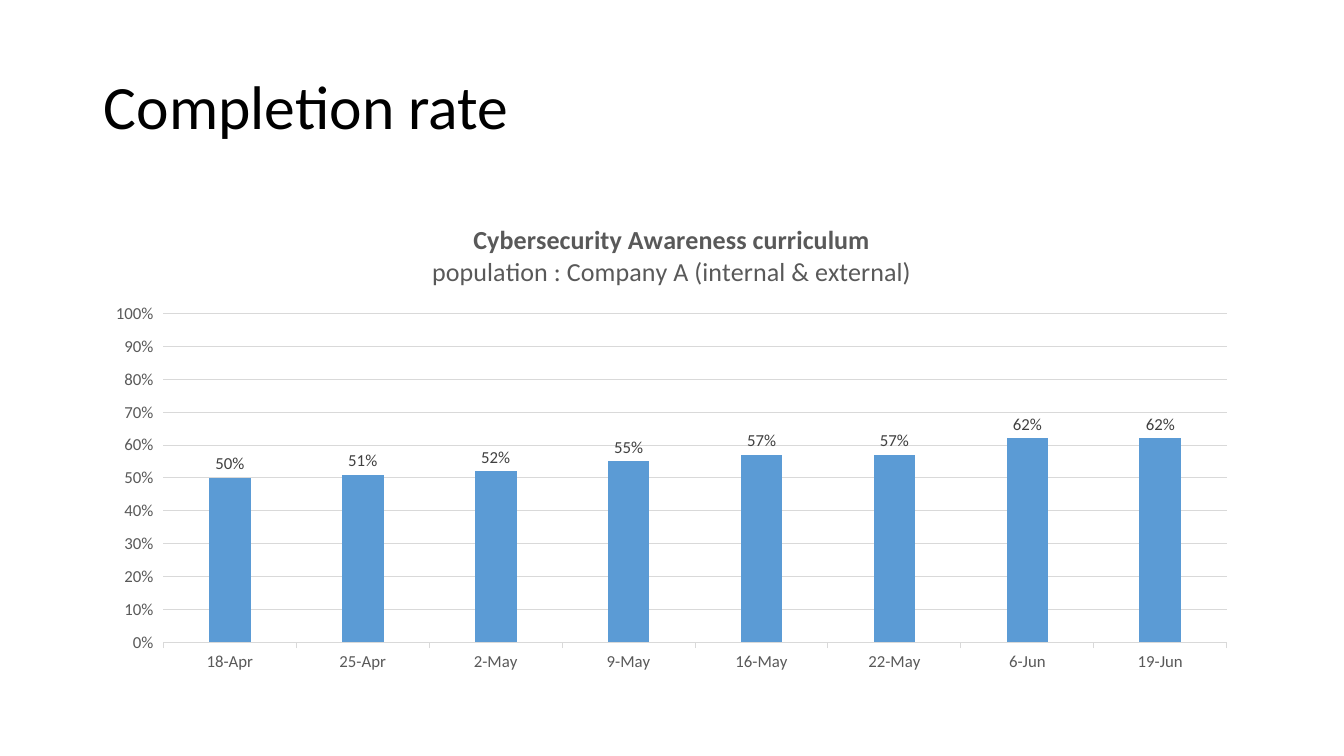
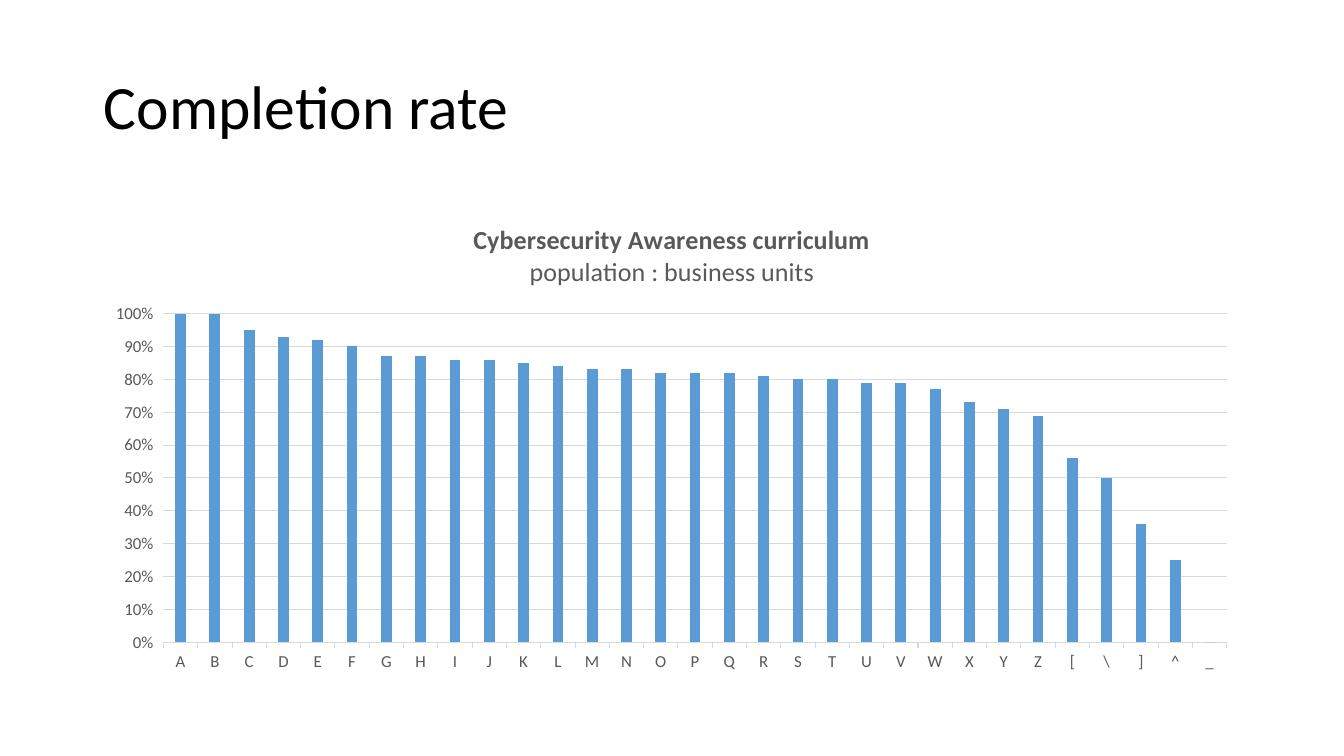
from pptx import Presentation
from pptx.chart.data import CategoryChartData as ChartData
from pptx.dml.color import RGBColor
from pptx.enum.chart import (XL_CHART_TYPE as ChartType, XL_LABEL_POSITION as LabelPos,
                             XL_TICK_MARK as Tick)
from pptx.enum.text import MSO_ANCHOR as Anchor
from pptx.oxml import parse_xml
from pptx.oxml.ns import nsdecls
from pptx.util import Inches, Pt

BLACK = RGBColor(0x00, 0x00, 0x00)
GREY = RGBColor(0x59, 0x59, 0x59)
DARK_GREY = RGBColor(0x40, 0x40, 0x40)
GRID = RGBColor(0xD9, 0xD9, 0xD9)
BLUE = RGBColor(0x5B, 0x9B, 0xD5)


class Deck:
    """Shared style and the slide being built; boxes are in shares of the slide."""
    FONT = "Calibri"
    TITLE_BOX = (0.07, 0.05, 0.86, 0.19)
    CHART_BOX = (0.07, 0.27, 0.86, 0.63)
    PLOT = {"x": 0.06, "y": 0.23, "w": 0.92, "h": 0.69}  # shares of the chart

    def __init__(self):
        self.prs = Presentation()
        self.prs.slide_width, self.prs.slide_height = Inches(13.33), Inches(7.5)

    def new_slide(self):
        self.s = self.prs.slides.add_slide(self.prs.slide_layouts[6])

    def box(self, x, y, w, h):
        sw, sh = self.prs.slide_width, self.prs.slide_height
        return int(x * sw), int(y * sh), int(w * sw), int(h * sh)

    def style(self, font, size, color, bold=False):
        font.name, font.size, font.bold = self.FONT, Pt(size), bold
        font.color.rgb = color

    def title(self, text):
        tf = self.s.shapes.add_textbox(*self.box(*self.TITLE_BOX)).text_frame
        tf.word_wrap, tf.vertical_anchor = True, Anchor.MIDDLE
        p = tf.paragraphs[0]
        p.text, p.line_spacing = text, 0.9
        self.style(p.font, 44, BLACK)

    def column_chart(self, heading, subheading, cats, vals, labels=False):
        data = ChartData(number_format="0%")
        data.categories = cats
        data.add_series("Series 1", vals)
        chart = self.s.shapes.add_chart(
            ChartType.COLUMN_CLUSTERED, *self.box(*self.CHART_BOX), data).chart
        chart.has_legend = False
        self.style(chart.font, 10, BLACK)
        self.chart_title(chart, heading, subheading)
        self.axes(chart)
        self.place_plot(chart)

        # Columns
        plot = chart.plots[0]
        plot.gap_width, plot.overlap, plot.vary_by_categories = 219, -27, False
        fill = plot.series[0].format.fill
        fill.solid()
        fill.fore_color.rgb = BLUE
        if labels:
            dl = plot.series[0].data_labels
            dl.show_value, dl.position = True, LabelPos.OUTSIDE_END
            dl.number_format, dl.number_format_is_linked = "0%", False
            self.style(dl.font, 12, DARK_GREY)

    def chart_title(self, chart, heading, subheading):
        tf = chart.chart_title.text_frame
        for p, text, bold in ((tf.paragraphs[0], heading, True),
                              (tf.add_paragraph(), subheading, False)):
            r = p.add_run()
            r.text = text
            for font in (p.font, r.font):
                self.style(font, 18.6, GREY, bold)

    def axes(self, chart):
        cat, val = chart.category_axis, chart.value_axis
        for axis in (cat, val):
            self.style(axis.tick_labels.font, 12, GREY)
            axis.major_tick_mark = Tick.OUTSIDE
        val.minimum_scale, val.maximum_scale, val.major_unit = 0, 1, 0.1
        val.tick_labels.number_format = "0%"
        val.tick_labels.number_format_is_linked = False
        val.format.line.fill.background()
        for line in (cat.format.line, val.major_gridlines.format.line):
            line.color.rgb, line.width = GRID, Pt(0.75)

    def place_plot(self, chart):
        area = chart.plots[0]._element.getparent()
        for old in area.findall("{*}layout"):
            area.remove(old)
        modes = '<c:layoutTarget val="inner"/><c:xMode val="edge"/><c:yMode val="edge"/>'
        sizes = "".join(f'<c:{k} val="{v}"/>' for k, v in self.PLOT.items())
        area.insert(0, parse_xml(
            f'<c:layout {nsdecls("c")}><c:manualLayout>{modes}{sizes}'
            '</c:manualLayout></c:layout>'))


TITLE = "Completion rate"
HEADING = "Cybersecurity Awareness curriculum"
deck = Deck()

# Completion over time
deck.new_slide()
deck.title(TITLE)
deck.column_chart(
    HEADING, "population : Company A (internal & external)",
    ["18-Apr", "25-Apr", "2-May", "9-May", "16-May", "22-May", "6-Jun", "19-Jun"],
    [0.50, 0.51, 0.52, 0.55, 0.57, 0.57, 0.62, 0.62], labels=True)

# Completion by business unit, lettered from A onwards
unit_rates = [1, 1, 0.95, 0.93, 0.92, 0.90, 0.87, 0.87, 0.86, 0.86, 0.85, 0.84, 0.83,
              0.83, 0.82, 0.82, 0.82, 0.81, 0.80, 0.80, 0.79, 0.79, 0.77, 0.73, 0.71,
              0.69, 0.56, 0.50, 0.36, 0.25, 0]
units = [chr(ord("A") + i) for i in range(len(unit_rates))]
deck.new_slide()
deck.title(TITLE)
deck.column_chart(HEADING, "population : business units", units, unit_rates)

deck.prs.save("out.pptx")
